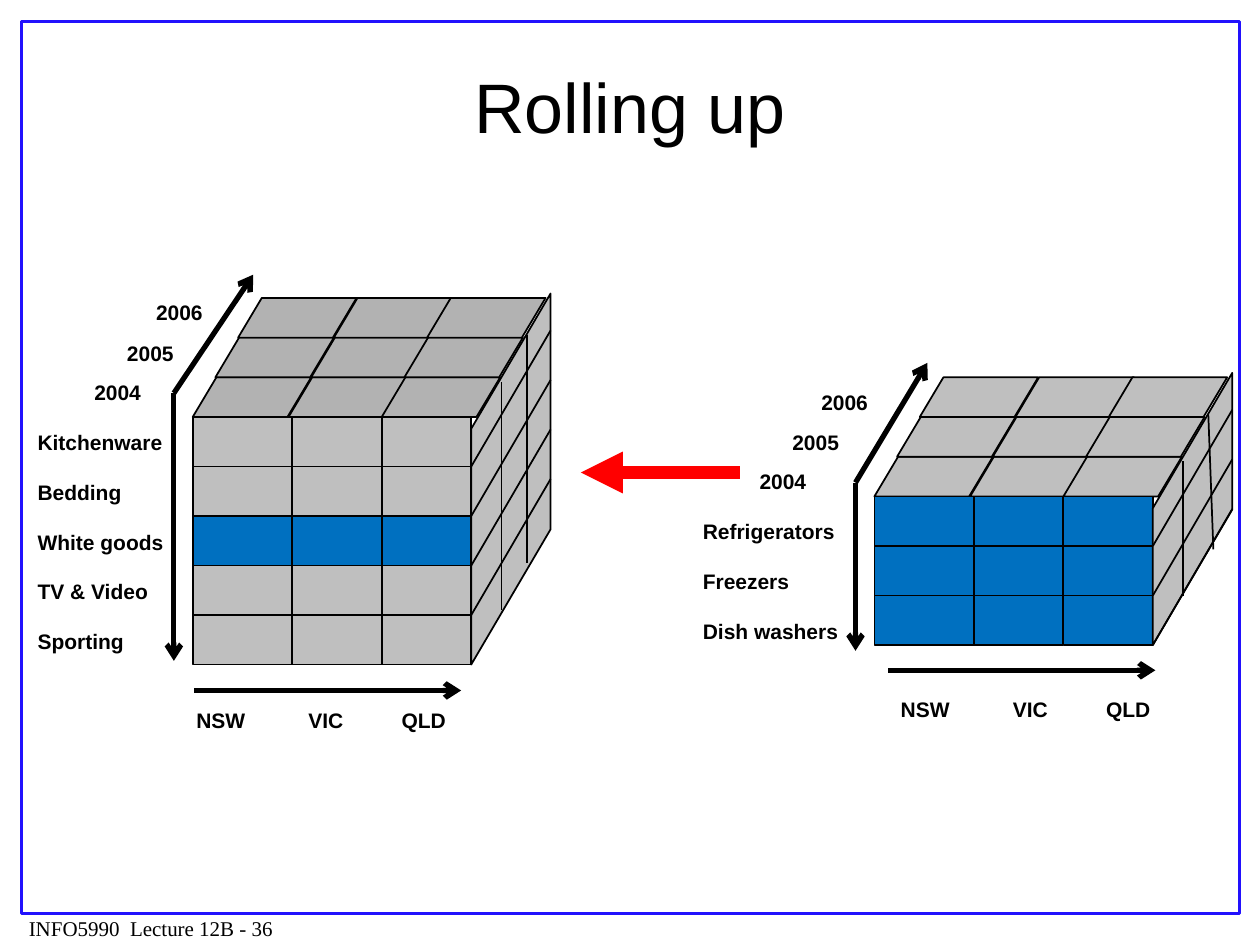
from dataclasses import dataclass
from typing import Any

import pptx
import pptx.dml.color
import pptx.enum.shapes
import pptx.enum.text
import pptx.oxml
import pptx.oxml.ns
import pptx.util

Point = tuple[float, float]
KIND = pptx.enum.shapes.MSO_SHAPE
BLACK, GREY, DARK, BLUE = "000000", "BFBFBF", "B2B2B2", "0070C0"
COLS, ROWS = 100, 75            # slide grid, square cells
FRONT = ((0, 7.9), (7.9, 7.1), (15, 7.1))  # start and width of front cells
TOPS = (0, 7.6, 15)             # starts of the top cells
HIGH, DEEP, SLANT = 3.93, 3.15, 1.8
SIDE, THICK, RISE = 22.1, 6.3, 10.8
YEARS = (("2004", -7.3, -1.6, 14.4), ("2005", -4.7, -4.7, 12.6),
         ("2006", -2.4, -7.9, 12.6))

deck = pptx.Presentation()
deck.slide_width = pptx.util.Inches(10)
deck.slide_height = pptx.util.Inches(7.5)
CELL = deck.slide_width / COLS


@dataclass
class Cube:
    start: Point     # top left of the front face
    corner: Point    # where the time and product axes meet
    tip: Point       # end of the time axis
    shift: float     # sideways move of the labels
    items: list[str]
    fills: list[str]
    top: str
    seams: int       # slanted lines on the side
    lean: float      # sideways drift of the rear seam
    base: Point      # start of the region axis
    names: Point     # region labels


def cells(*nums: float) -> list[int]:
    return [round(n * CELL) for n in nums]


def tint(code: str) -> Any:
    return pptx.dml.color.RGBColor.from_string(code)


def block(where: Any, kind: Any, x: float, y: float, w: float, h: float,
          fill: str | None, edge: str = BLACK, thick: float = 1) -> Any:
    shape = where.add_shape(kind, *cells(x, y, w, h))
    shape.shadow.inherit = False
    if fill:
        shape.fill.solid()
        shape.fill.fore_color.rgb = tint(fill)
    else:
        shape.fill.background()
    shape.line.color.rgb = tint(edge)
    shape.line.width = pptx.util.Pt(thick)
    return shape


def line(where: Any, a: Point, b: Point, thick: float = 1,
         head: str = "", color: str = BLACK) -> None:
    link = where.add_connector(pptx.enum.shapes.MSO_CONNECTOR.STRAIGHT,
                               *cells(*a, *b))
    link.line.color.rgb = tint(color)
    link.line.width = pptx.util.Pt(thick)
    props = link._element.spPr
    if head:
        end = pptx.oxml.parse_xml(
            f'<a:tailEnd {pptx.oxml.ns.nsdecls("a")} type="{head}"/>')
        link.line._get_or_add_ln().append(end)
    props.append(pptx.oxml.parse_xml(
        f'<a:effectLst {pptx.oxml.ns.nsdecls("a")}/>'))


def style(para: Any, size: float, face: str, bold: bool = False) -> None:
    para.font.size = pptx.util.Pt(size)
    para.font.name = face
    para.font.bold = bold
    para.font.color.rgb = tint(BLACK)


def label(where: Any, text: str, x: float, y: float, w: float = 14.4,
          face: str = "Arial", bold: bool = True) -> Any:
    frame = where.add_textbox(*cells(x, y, w, 3)).text_frame
    frame.word_wrap = True
    frame.auto_size = pptx.enum.text.MSO_AUTO_SIZE.SHAPE_TO_FIT_TEXT
    para = frame.paragraphs[0]
    para.text = text
    style(para, 12, face, bold)
    return para


def draw(where: Any, cube: Cube) -> None:
    x, y = cube.start
    rows = len(cube.items)
    # Top face, front to back
    for layer in range(3):
        for left in TOPS:
            block(where, KIND.FLOWCHART_DATA, x + left + SLANT * layer,
                  y - DEEP * (layer + 1), 9.4, DEEP, cube.top)
    # Front face
    for row, fill in enumerate(cube.fills):
        for left, wide in FRONT:
            block(where, KIND.RECTANGLE, x + left, y + row * HIGH,
                  wide, HIGH, fill)
    # Side face, a parallelogram turned upright
    tall = rows * HIGH + 9.8
    side = block(where, KIND.PARALLELOGRAM, x + SIDE + (THICK - tall) / 2,
                 y - 9.8 + (tall - THICK) / 2, tall, THICK, GREY)
    side.adjustments[0] = 1.704
    side.rotation = 270
    side._element.spPr.xfrm.set("flipH", "1")
    # Seams of the side face
    drop = rows * 3.7 - 0.4
    for left, up, lean in ((24.5, 2.8, 0), (26.5, 6.5, cube.lean)):
        line(where, (x + left, y - up), (x + left + lean, y - up + drop))
    for row in range(1, cube.seams + 1):
        low = y + row * HIGH
        line(where, (x + SIDE + THICK, low - RISE), (x + SIDE, low))
    # Labels
    cx, cy = cube.corner
    for text, dx, dy, wide in YEARS:
        label(where, text, cx + dx + cube.shift, cy + dy, wide)
    for row, text in enumerate(cube.items):
        label(where, text, cx - 11.8 + cube.shift, cy + 2.4 + row * 3.95)
    para = label(where, "NSW\tVIC\tQLD", *cube.names, 23.6)
    stops = "".join(f'<a:tab pos="{pos}" algn="l"/>' for pos in cells(8.9, 16.3))
    para._p.get_or_add_pPr().insert(0, pptx.oxml.parse_xml(
        f'<a:tabLst {pptx.oxml.ns.nsdecls("a")}>{stops}</a:tabLst>'))
    # Axes
    bx, by = cube.base
    for a, b in ((cube.corner, cube.tip),
                 (cube.corner, (cx, cy + rows * 3.95 + 1.5)),
                 (cube.base, (bx + 21.2, by))):
        line(where, a, b, 3, "arrow")


# Title, frame and footer
slide = deck.slides.add_slide(deck.slide_layouts[5])
parts = slide.shapes
label(parts, "INFO5990  Lecture 12B - 36", 1.3, 72.2, 28.2,
      "Times New Roman", False)
block(parts, KIND.RECTANGLE, 1.7, 1.7, 96.7, 70.8, None, "2211FD", 1.5)
title = parts.title
title.left, title.top, title.width, title.height = cells(7.5, 2.1, 85, 12.5)
title.text_frame.text = "Rolling up"
title.text_frame.vertical_anchor = pptx.enum.text.MSO_ANCHOR.MIDDLE
head = title.text_frame.paragraphs[0]
head.alignment = pptx.enum.text.PP_ALIGN.CENTER
style(head, 40, "Arial")

# Cubes
cubes = [
    Cube((15.3, 33.1), (13.8, 31.2), (20.1, 21.8), 0,
         ["Kitchenware", "Bedding", "White goods", "TV & Video", "Sporting"],
         [GREY, GREY, BLUE, GREY, GREY], DARK, 4, 0,
         (15.4, 54.8), (14.6, 55.7)),
    Cube((69.4, 39.4), (67.9, 38.3), (73.6, 28.8), -1.3,
         ["Refrigerators", "Freezers", "Dish washers"],
         [BLUE] * 3, GREY, 3, 0.4, (70.5, 53.2), (70.5, 54.8)),
]
for cube in cubes:
    draw(parts.add_group_shape().shapes, cube)

# Roll-up arrow
line(parts, (58.7, 37.5), (46.1, 37.5), 8, "triangle", "FF0000")

deck.save("out.pptx")
